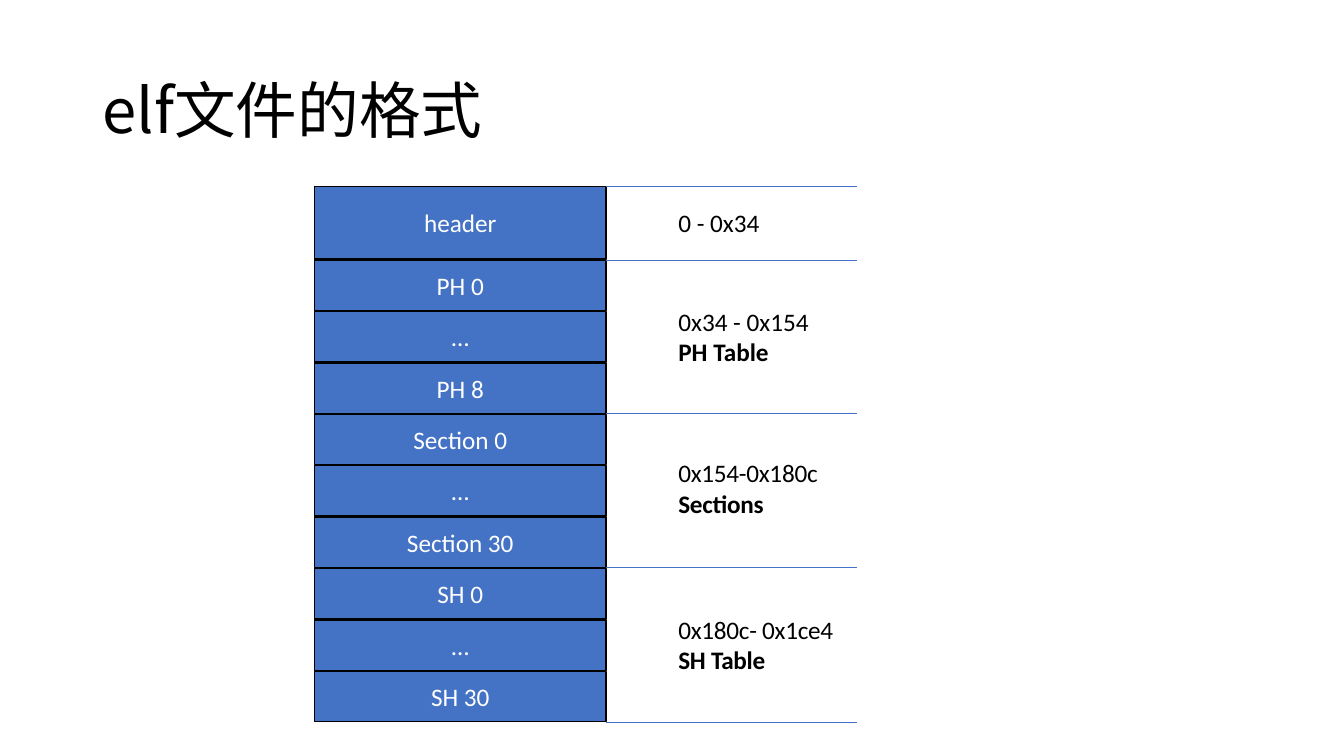
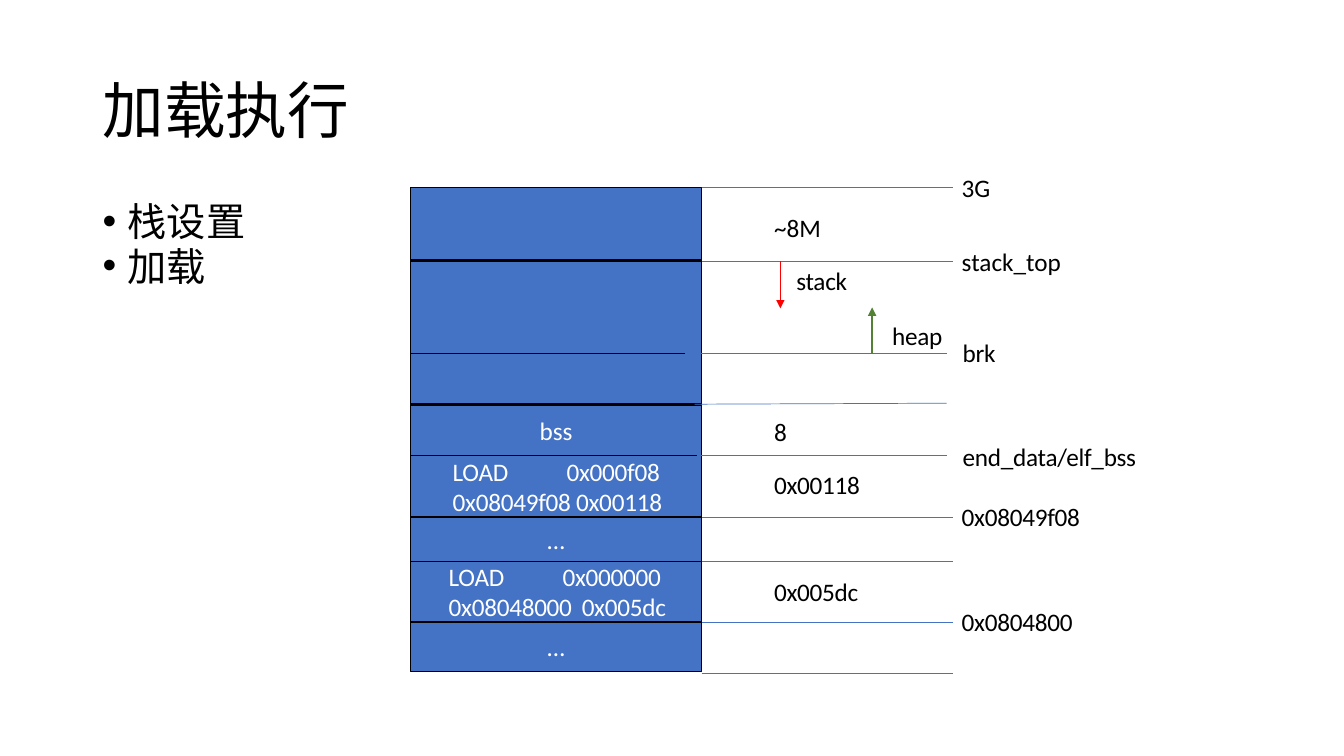
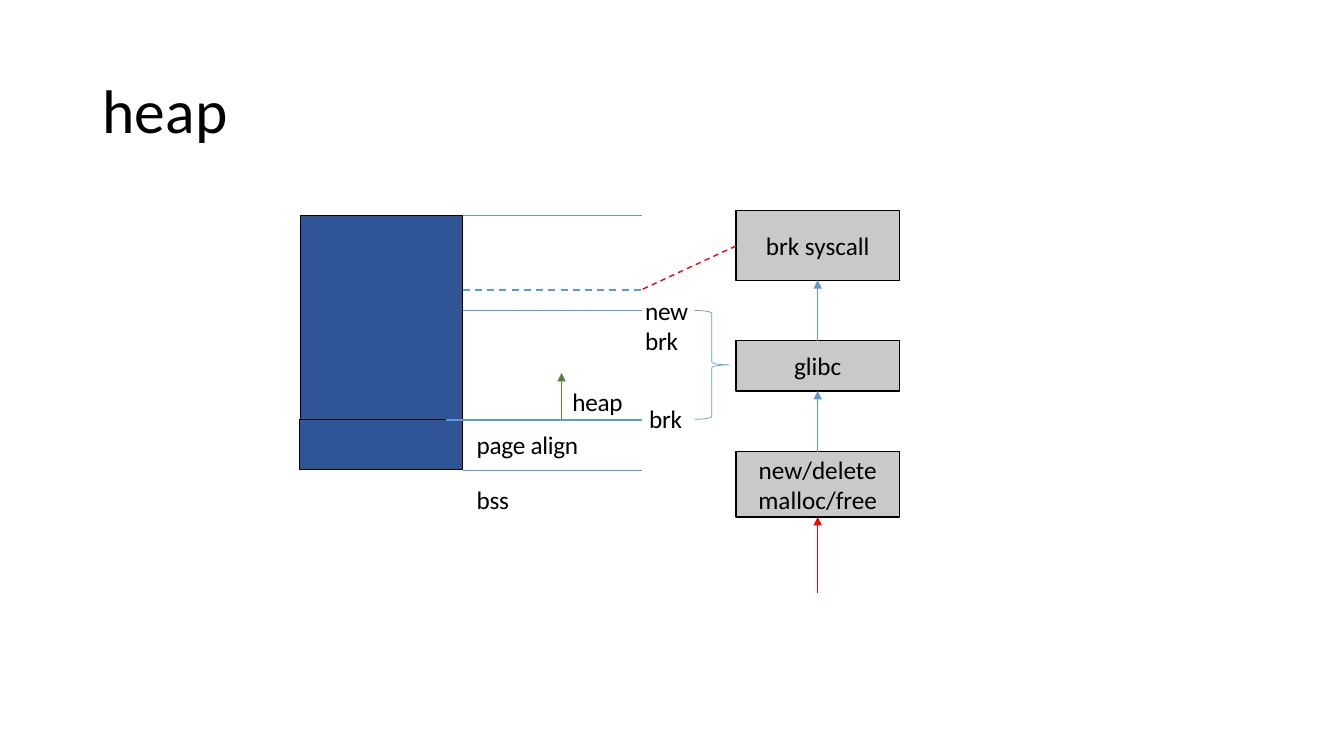
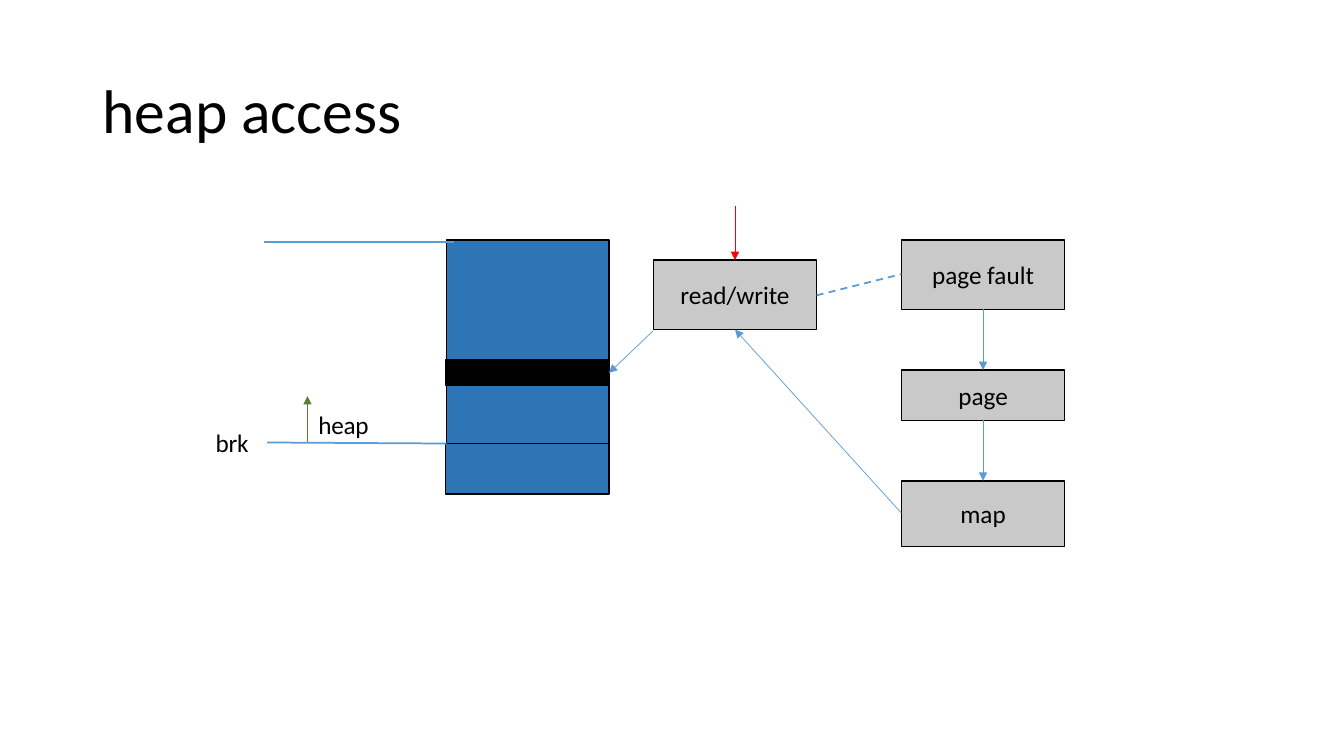
from lxml import etree
from pptx import Presentation
from pptx.dml.color import RGBColor
from pptx.enum.dml import MSO_LINE
from pptx.enum.shapes import MSO_CONNECTOR, MSO_SHAPE
from pptx.enum.text import MSO_ANCHOR, PP_ALIGN
from pptx.oxml.ns import qn
from pptx.util import Pt

PX = 9144
RECTANGLE = MSO_SHAPE.RECTANGLE
BRACE = MSO_SHAPE.RIGHT_BRACE
STRAIGHT = MSO_CONNECTOR.STRAIGHT
DASH = MSO_LINE.DASH
MIDDLE, TOP = MSO_ANCHOR.MIDDLE, MSO_ANCHOR.TOP
CENTER, LEFT = PP_ALIGN.CENTER, PP_ALIGN.LEFT
LATIN, CHINESE = "Calibri", "Noto Sans CJK SC"
COLORS = {
    "black": "000000",
    "white": "FFFFFF",
    "blue": "4472C4",
    "navy": "2F5597",
    "steel": "2E75B6",
    "sky": "5B9BD5",
    "gray": "C9C9C9",
    "red": "FF0000",
    "green": "548235",
}


def add_box(slide, box, text, fill=None, color="black", size=18, font=LATIN, spacing=0):
    left, top, width, height = [value * PX for value in box]
    if fill:
        shape = slide.shapes.add_shape(RECTANGLE, left, top, width, height)
        shape.shadow.inherit = False
        shape.fill.solid()
        shape.fill.fore_color.rgb = RGBColor.from_string(COLORS[fill])
        shape.line.color.rgb = RGBColor.from_string(COLORS["black"])
        shape.line.width = Pt(1)
    else:
        shape = slide.shapes.add_textbox(left, top, width, height)
    frame = shape.text_frame
    frame.word_wrap = True
    frame.vertical_anchor = MIDDLE if fill else TOP
    if not text:
        return shape
    for index, line in enumerate(text.split("\n")):
        paragraph = frame.add_paragraph() if index else frame.paragraphs[0]
        paragraph.alignment = CENTER if fill else LEFT
        run = paragraph.add_run()
        run.text = line
        run.font.size = Pt(size)
        run.font.name = font
        run.font.color.rgb = RGBColor.from_string(COLORS[color])
        properties = run.font._element
        etree.SubElement(properties, qn("a:ea")).set("typeface", font)
        if spacing:
            properties.set("spc", str(spacing))
    return shape


def add_line(slide, points, color, width=0.5, arrow=False, dash=False):
    connector = slide.shapes.add_connector(STRAIGHT, *[value * PX for value in points])
    connector.line.color.rgb = RGBColor.from_string(COLORS[color])
    connector.line.width = Pt(width)
    if dash:
        connector.line.dash_style = DASH
    if arrow:
        outline = connector.line._get_or_add_ln()
        etree.SubElement(outline, qn("a:tailEnd")).set("type", "triangle")
    etree.SubElement(connector._element.spPr, qn("a:effectLst"))


presentation = Presentation()
presentation.slide_width = 1333 * PX
presentation.slide_height = 750 * PX

slides = []
for title, font in [
    ("elf文件的格式", CHINESE),
    ("加载执行", CHINESE),
    ("heap", LATIN),
    ("heap access", LATIN),
]:
    slide = presentation.slides.add_slide(presentation.slide_layouts[6])
    shape = add_box(slide, (92, 40, 1150, 145), title, size=44, font=font)
    shape.text_frame.vertical_anchor = MIDDLE
    shape.text_frame.paragraphs[0].line_spacing = 0.9
    slides.append(slide)
format_slide, load_slide, heap_slide, access_slide = slides

add_box(format_slide, (312, 185, 289, 72), "header", "blue", "white")
entries = ["PH 0", "…", "PH 8", "Section 0", "…", "Section 30", "SH 0", "…", "SH 30"]
for index, entry in enumerate(entries):
    add_box(format_slide, (312, 258 + 51 * index, 289, 50), entry, "blue", "white")
for y in (185, 258, 410, 563, 717):
    add_line(format_slide, (601, y, 850, y), "blue")
for top, text, spacing in [
    (201, "0 - 0x34", 0),
    (299, "0x34 - 0x154\nPH Table", 0),
    (449, "0x154-0x180c\nSections", -20),
    (604, "0x180c- 0x1ce4\nSH Table", -20),
]:
    shape = add_box(format_slide, (663, top, 180, 71), text, spacing=spacing)
    for paragraph in shape.text_frame.paragraphs[1:]:
        paragraph.runs[0].font.bold = True

shape = add_box(load_slide, (92, 200, 1150, 105), "栈设置\n加载", size=28, font=CHINESE)
for paragraph in shape.text_frame.paragraphs:
    paragraph.line_spacing = 0.8
    paragraph.space_before = Pt(5)
    properties = paragraph._p.get_or_add_pPr()
    properties.set("marL", str(25 * PX))
    properties.set("indent", str(-25 * PX))
    etree.SubElement(properties, qn("a:buFont")).set("typeface", "Arial")
    etree.SubElement(properties, qn("a:buChar")).set("char", "•")

for top, height, text in [
    (186, 72, ""),
    (259, 92, ""),
    (351, 50, ""),
    (402, 50, "bss"),
    (513, 44, "…"),
    (617, 49, "…"),
]:
    add_box(load_slide, (407, top, 289, height), text, "blue", "white")
for top, height, inset, text in [
    (452, 61, 42, "LOAD\t0x000f08\n0x08049f08 0x00118"),
    (557, 60, 38, "LOAD\t0x000000\n0x08048000\t0x005dc"),
]:
    shape = add_box(load_slide, (407, top, 289, height), text, "blue", "white", spacing=-20)
    shape.text_frame.margin_left = inset * PX
    for paragraph in shape.text_frame.paragraphs:
        paragraph.alignment = LEFT
        stops = etree.SubElement(paragraph._p.get_or_add_pPr(), qn("a:tabLst"))
        for position in (113, 132):
            etree.SubElement(stops, qn("a:tab"), pos=str(position * PX), algn="l")

for start, end, y in [
    (696, 945, 186),
    (696, 945, 259),
    (679, 939, 351),
    (691, 939, 452),
    (696, 945, 513),
    (696, 945, 557),
    (696, 945, 617),
    (696, 945, 668),
]:
    add_line(load_slide, (start, y, end, y), "blue")
add_line(load_slide, (689, 401, 939, 400), "blue")
add_line(load_slide, (774, 259, 774, 306), "red", 1, arrow=True)
add_line(load_slide, (865, 351, 865, 305), "green", 1, arrow=True)
for left, top, width, text, spacing in [
    (944, 166, 125, "3G", 0),
    (944, 239, 125, "stack_top", 0),
    (945, 330, 141, "brk", -20),
    (945, 433, 206, "end_data/elf_bss", -20),
    (944, 492, 141, "0x08049f08", -20),
    (944, 597, 132, "0x0804800", -20),
    (758, 206, 125, "~8M", 0),
    (758, 408, 107, "8", -20),
    (758, 461, 107, "0x00118", -20),
    (758, 567, 107, "0x005dc", -20),
    (780, 258, 77, "stack", -20),
    (875, 313, 77, "heap", -20),
]:
    add_box(load_slide, (left, top, width, 40), text, spacing=spacing)

add_box(heap_slide, (297, 416, 162, 50), "", "navy")
add_box(heap_slide, (298, 214, 161, 202), "", "navy")
for top, height, text in [
    (209, 69, "brk syscall"),
    (338, 50, "glibc"),
    (448, 65, "new/delete\nmalloc/free"),
]:
    add_box(heap_slide, (730, top, 162, height), text, "gray")
for start, y, width, dash in [
    (459, 214, 0.5, False),
    (459, 288, 1.25, True),
    (459, 308, 1.25, False),
    (442, 417, 1.25, False),
    (459, 467, 0.5, False),
]:
    add_line(heap_slide, (start, y, 637, y), "sky", width, dash=dash)
add_line(heap_slide, (730, 244, 635, 288), "red", 1, dash=True)
add_line(heap_slide, (557, 416, 557, 370), "green", 1, arrow=True)
for start, end, color in [(338, 278, "sky"), (448, 388, "sky"), (588, 513, "red")]:
    add_line(heap_slide, (811, start, 811, end), color, arrow=True)
brace = heap_slide.shapes.add_shape(BRACE, 689 * PX, 308 * PX, 34 * PX, 108 * PX)
brace.shadow.inherit = False
brace.fill.background()
brace.line.color.rgb = RGBColor.from_string(COLORS["sky"])
brace.line.width = Pt(0.5)
for left, top, width, height, text in [
    (630, 288, 110, 71, "new\nbrk"),
    (634, 395, 60, 40, "brk"),
    (558, 378, 77, 40, "heap"),
    (463, 421, 141, 40, "page align"),
    (463, 476, 141, 40, "bss"),
]:
    add_box(heap_slide, (left, top, width, height), text, spacing=-20)

for box, fill in [
    ((442, 440, 162, 50), "steel"),
    ((443, 238, 161, 202), "steel"),
    ((442, 357, 162, 25), "black"),
]:
    add_box(access_slide, box, "", fill)
for left, top, height, text in [
    (648, 258, 69, "read/write"),
    (894, 238, 69, "page fault"),
    (894, 367, 50, "page"),
    (894, 477, 65, "map"),
]:
    add_box(access_slide, (left, top, 162, height), text, "gray")
add_line(access_slide, (262, 240, 450, 240), "sky", 1.25)
add_line(access_slide, (265, 439, 443, 440), "sky", 1.25)
add_line(access_slide, (810, 293, 894, 272), "sky", 1.25, dash=True)
add_line(access_slide, (305, 439, 305, 393), "green", 1, arrow=True)
for points, color in [
    ((648, 328, 604, 370), "sky"),
    ((975, 307, 975, 367), "sky"),
    ((975, 417, 975, 477), "sky"),
    ((894, 509, 729, 327), "sky"),
    ((729, 204, 729, 258), "red"),
]:
    add_line(access_slide, points, color, arrow=True)
for left, top, width, text in [(204, 419, 60, "brk"), (306, 401, 77, "heap")]:
    add_box(access_slide, (left, top, width, 40), text, spacing=-20)

presentation.save("out.pptx")
